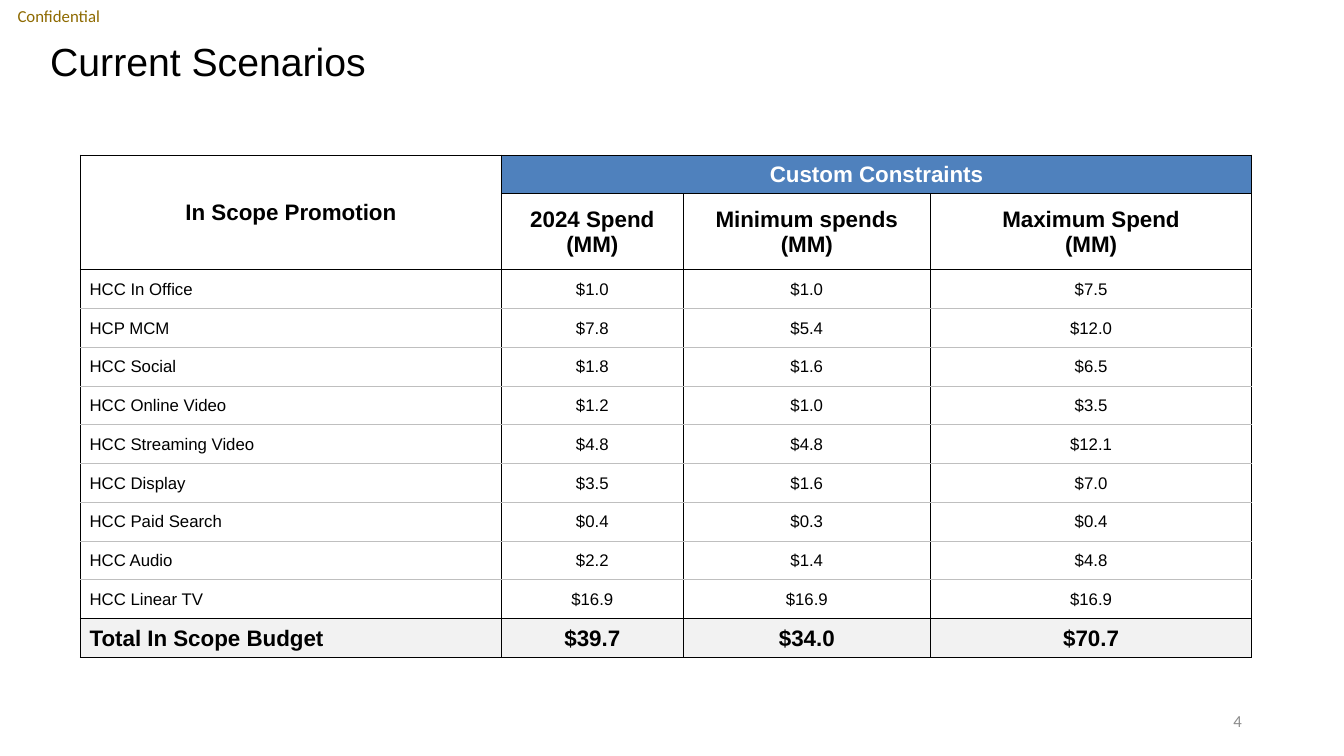
from lxml.etree import SubElement
from pptx import Presentation
from pptx.dml.color import RGBColor
from pptx.enum.text import MSO_ANCHOR, PP_ALIGN
from pptx.oxml.ns import qn
from pptx.util import Pt

COLORS = {
    "black": "000000",
    "white": "FFFFFF",
    "header": "4F81BD",
    "total": "F2F2F2",
    "rule": "BFBFBF",
    "label": "8E6A00",
    "number": "8C8C8C",
}

LABELS = [
    ("Confidential", (0, 0, 84, 23), 12.5, "Calibri", 12, "label", PP_ALIGN.LEFT),
    ("Current Scenarios", (28.8, 28.8, 864, 28.8), 7.2, "Arial", 28, "black", PP_ALIGN.LEFT),
    ("4", (678.2, 500.4, 216, 28.8), 7.2, "Calibri", 12, "number", PP_ALIGN.RIGHT),
]

ROWS = [
    ("In Scope Promotion", "Custom Constraints", "", ""),
    ("", "2024 Spend\n(MM)", "Minimum spends\n(MM)", "Maximum Spend\n(MM)"),
    ("HCC In Office", "$1.0", "$1.0", "$7.5"),
    ("HCP MCM", "$7.8", "$5.4", "$12.0"),
    ("HCC Social", "$1.8", "$1.6", "$6.5"),
    ("HCC Online Video", "$1.2", "$1.0", "$3.5"),
    ("HCC Streaming Video", "$4.8", "$4.8", "$12.1"),
    ("HCC Display", "$3.5", "$1.6", "$7.0"),
    ("HCC Paid Search", "$0.4", "$0.3", "$0.4"),
    ("HCC Audio", "$2.2", "$1.4", "$4.8"),
    ("HCC Linear TV", "$16.9", "$16.9", "$16.9"),
    ("Total In Scope Budget", "$39.7", "$34.0", "$70.7"),
]
HEADER_ROWS = 2
TOTAL_ROW = len(ROWS) - 1
TABLE_LEFT, TABLE_TOP = 57.5, 110.8
COLUMN_WIDTHS = [300.7, 129.8, 176.6, 229.5]
ROW_HEIGHTS = [27.7, 54] + [27.7] * (len(ROWS) - HEADER_ROWS)


def style_text(frame, font_name, size, color, align, bold=False):
    for para in frame.paragraphs:
        para.alignment = align
        for span in para.runs:
            span.font.name = font_name
            span.font.size = Pt(size)
            span.font.bold = bold
            span.font.color.rgb = RGBColor.from_string(COLORS[color])


def add_label(page, text, place, inset, font_name, size, color, align):
    box = page.shapes.add_textbox(*map(Pt, place))
    frame = box.text_frame
    frame.word_wrap = True
    frame.vertical_anchor = MSO_ANCHOR.MIDDLE
    frame.margin_left = frame.margin_right = Pt(inset)
    frame.margin_top = frame.margin_bottom = 0
    frame.text = text
    style_text(frame, font_name, size, color, align)


def add_border(cell, side, color, width):
    line = SubElement(cell._tc.get_or_add_tcPr(), qn(f"a:ln{side}"), w=str(Pt(width)))
    fill = SubElement(line, qn("a:solidFill"))
    SubElement(fill, qn("a:srgbClr"), val=COLORS[color])


def style_cell(cell, row, column):
    is_header = row < HEADER_ROWS
    is_total = row == TOTAL_ROW
    is_banner = row == 0 and column > 0
    is_name = column == 0 and not is_header
    cell.vertical_anchor = MSO_ANCHOR.MIDDLE
    cell.margin_left = Pt(6.5 if is_name else 0.7)
    cell.margin_right = cell.margin_top = Pt(0.7)
    cell.margin_bottom = 0

    strong = ("black", 1)
    light = ("rule", 0.5)
    top = light if HEADER_ROWS < row < TOTAL_ROW else strong
    bottom = light if HEADER_ROWS <= row < TOTAL_ROW - 1 else strong
    for side, border in (("L", strong), ("R", strong), ("T", top), ("B", bottom)):
        add_border(cell, side, *border)

    if is_banner or is_total:
        cell.fill.solid()
        cell.fill.fore_color.rgb = RGBColor.from_string(COLORS["header" if is_banner else "total"])
    else:
        cell.fill.background()

    strong_text = is_header or is_total
    style_text(
        cell.text_frame,
        "Arial",
        16 if strong_text else 12,
        "white" if is_banner else "black",
        PP_ALIGN.LEFT if is_name else PP_ALIGN.CENTER,
        strong_text,
    )


def add_budget_table(page):
    frame = page.shapes.add_table(
        len(ROWS), len(COLUMN_WIDTHS), Pt(TABLE_LEFT), Pt(TABLE_TOP),
        Pt(sum(COLUMN_WIDTHS)), Pt(sum(ROW_HEIGHTS)),
    )
    table = frame.table
    table.horz_banding = False
    table.first_row = False
    for column, width in zip(table.columns, COLUMN_WIDTHS):
        column.width = Pt(width)
    for row, height in zip(table.rows, ROW_HEIGHTS):
        row.height = Pt(height)
    for row, values in enumerate(ROWS):
        for column, value in enumerate(values):
            cell = table.cell(row, column)
            cell.text_frame.text = value
            style_cell(cell, row, column)
    table.cell(0, 0).merge(table.cell(1, 0))
    table.cell(0, 1).merge(table.cell(0, 3))


def main():
    deck = Presentation()
    deck.slide_width = Pt(960)
    deck.slide_height = Pt(540)
    page = deck.slides.add_slide(deck.slide_layouts[6])
    for label in LABELS:
        add_label(page, *label)
    add_budget_table(page)
    deck.save("out.pptx")


if __name__ == "__main__":
    main()
